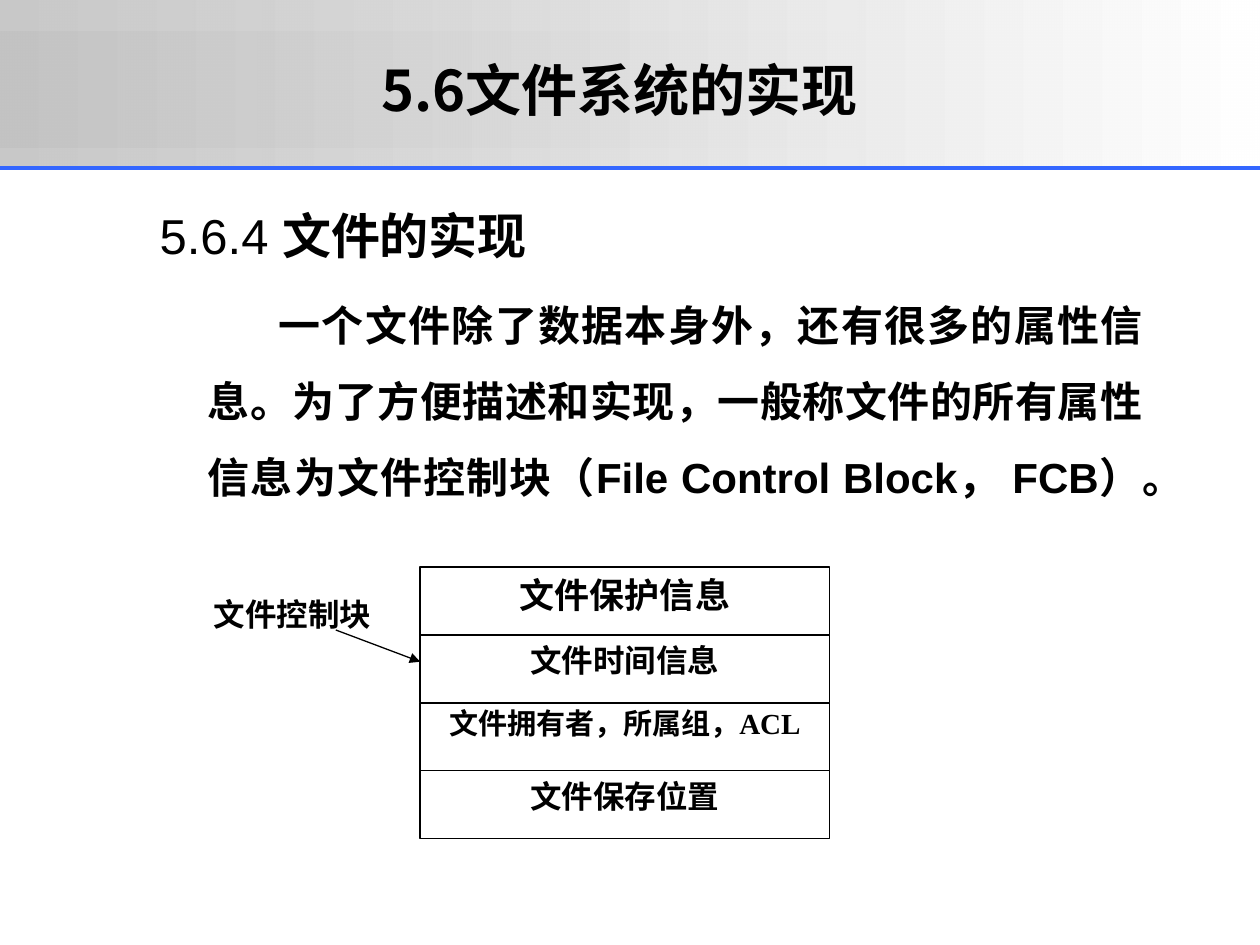
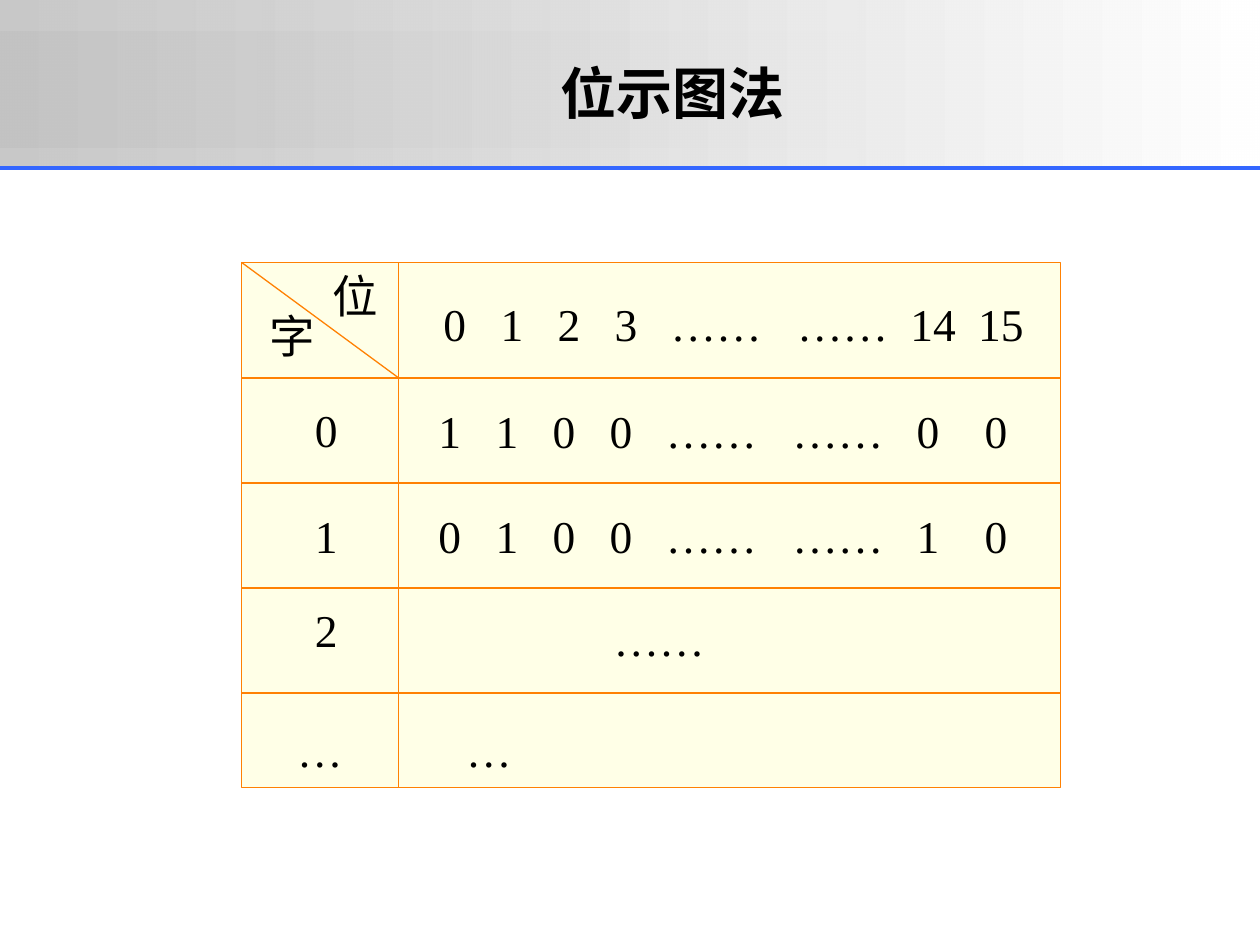
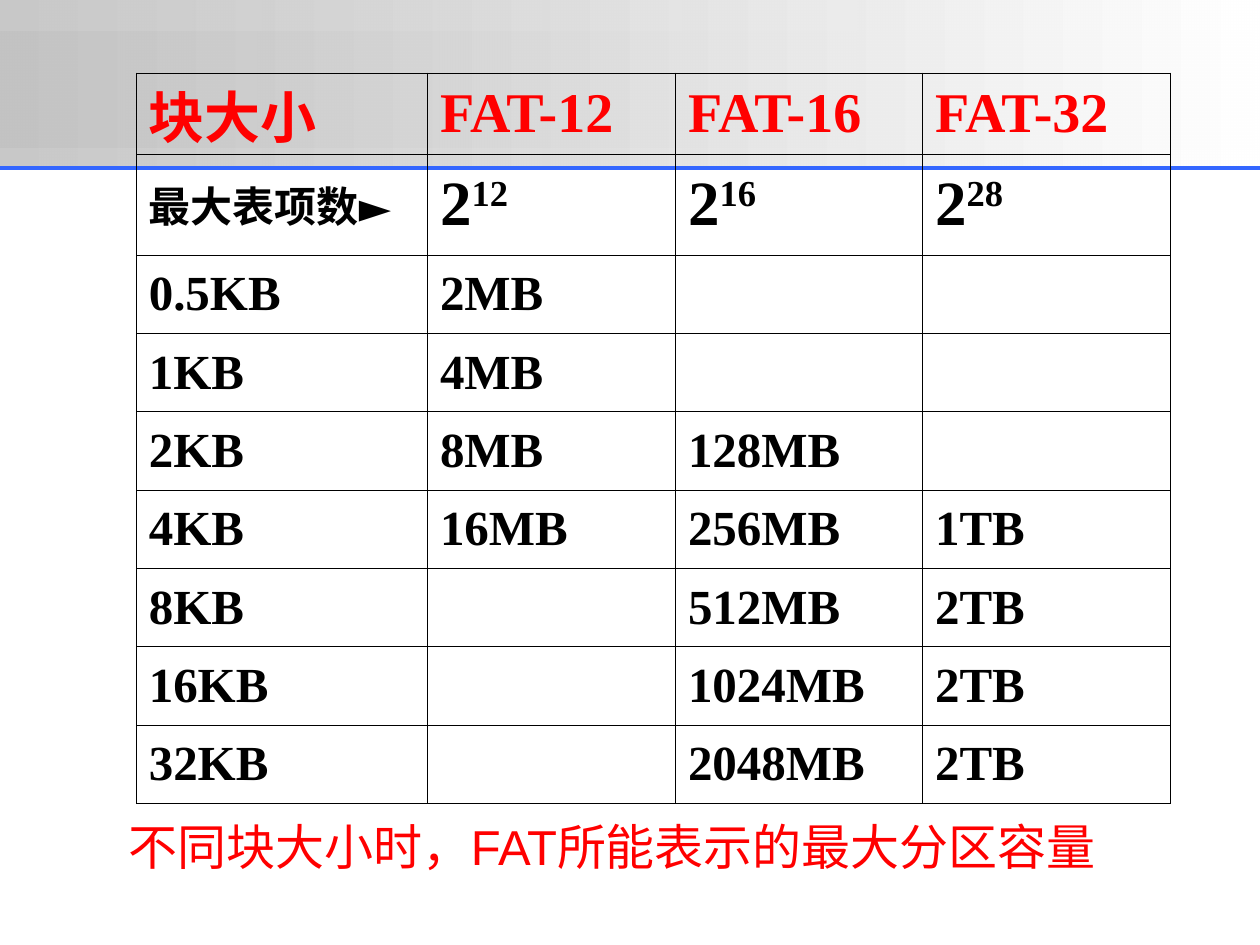
from lxml import etree
from pptx import Presentation
from pptx.dml.color import RGBColor
from pptx.enum.shapes import MSO_CONNECTOR, MSO_SHAPE
from pptx.enum.text import MSO_ANCHOR, MSO_AUTO_SIZE, PP_ALIGN
from pptx.oxml.ns import qn
from pptx.util import Cm, Pt

RECTANGLE = MSO_SHAPE.RECTANGLE
STRAIGHT = MSO_CONNECTOR.STRAIGHT
LEFT, CENTER, JUSTIFY = PP_ALIGN.LEFT, PP_ALIGN.CENTER, PP_ALIGN.JUSTIFY
TOP, MIDDLE = MSO_ANCHOR.TOP, MSO_ANCHOR.MIDDLE
NO_AUTOFIT = MSO_AUTO_SIZE.NONE

BLACK = RGBColor(0x00, 0x00, 0x00)
WHITE = RGBColor(0xFF, 0xFF, 0xFF)
GRAY = RGBColor(0xC0, 0xC0, 0xC0)
BLUE = RGBColor(0x33, 0x66, 0xFF)
RED = RGBColor(0xFF, 0x00, 0x00)
CREAM = RGBColor(0xFF, 0xFF, 0xE7)
ORANGE = RGBColor(0xFF, 0x81, 0x03)

SANS, SERIF, CJK = "Arial", "Times New Roman", "Noto Sans CJK SC"
SLIDE_WIDTH, SLIDE_HEIGHT = 25.4, 19.05
BAND_HEIGHT = 3.39
TITLE_ONLY, BLANK = 5, 6

FCB_ROWS = [
    ("文件保护信息", 20, 1.0),
    ("文件时间信息", 18, 1.0),
    ("文件拥有者，所属组，ACL", 16.6, 0.9),
    ("文件保存位置", 18, 1.0),
]

BIT_TABS = [1.38, 2.53, 3.68, 5.5, 8.05, 9.87, 11.24]
BIT_ROWS = [
    (8.79, 5.89, ["0", "1", "2", "3", "……", "……", "14", "15"]),
    (8.69, 8.05, ["1", "1", "0", "0", "……", "……", "0", "0"]),
    (8.69, 10.16, ["0", "1", "0", "0", "……", "……", "1", "0"]),
]
BIT_LABELS = [
    (6.55, 5.33, 1.22, "位"),
    (5.28, 6.13, 1.22, "字"),
    (6.2, 8.02, 0.76, "0"),
    (6.2, 10.16, 0.76, "1"),
    (6.2, 12.06, 0.76, "2"),
    (5.84, 14.48, 1.22, "…"),
    (9.25, 14.48, 1.22, "…"),
    (12.22, 12.24, 2.6, "……"),
]

FAT_COLUMNS = [5.87, 5, 4.98, 5]
FAT_HEIGHTS = [1.6, 2.03] + [1.58] * 7
FAT_ROWS = [
    ["块大小", "FAT-12", "FAT-16", "FAT-32"],
    ["最大表项数►", "2^12", "2^16", "2^28"],
    ["0.5KB", "2MB", "", ""],
    ["1KB", "4MB", "", ""],
    ["2KB", "8MB", "128MB", ""],
    ["4KB", "16MB", "256MB", "1TB"],
    ["8KB", "", "512MB", "2TB"],
    ["16KB", "", "1024MB", "2TB"],
    ["32KB", "", "2048MB", "2TB"],
]


def style_span(span, size, font, color=BLACK, bold=False):
    span.font.size = Pt(size)
    span.font.name = font
    span.font.color.rgb = color
    span.font.bold = bold


def style_para(para, size, font, color=BLACK, bold=False, align=LEFT):
    para.alignment = align
    for span in para.runs:
        style_span(span, size, font, color, bold)


def set_margins(holder, side, edge):
    holder.margin_left = holder.margin_right = Cm(side)
    holder.margin_top = holder.margin_bottom = Cm(edge)


def add_rectangle(page, left, top, width, height, fill=None, line=None):
    box = page.shapes.add_shape(RECTANGLE, Cm(left), Cm(top), Cm(width), Cm(height))
    box.shadow.inherit = False
    if fill is not None:
        box.fill.solid()
        box.fill.fore_color.rgb = fill
    if line is None:
        box.line.fill.background()
    else:
        box.line.color.rgb = line
        box.line.width = Pt(0.75)
    return box


def add_gradient_band(page, top, height, opacity):
    band = add_rectangle(page, 0, top, SLIDE_WIDTH, height)
    band.fill.gradient()
    band.fill.gradient_angle = 0
    for stop, color in zip(band.fill.gradient_stops, (GRAY, WHITE)):
        stop.color.rgb = color
    start_color = band.element.xpath(".//a:gs//a:srgbClr")[0]
    etree.SubElement(start_color, qn("a:alpha")).set("val", str(opacity * 1000))
    return band


def add_line(page, start, end, color, width=0.75, arrow=False):
    points = [Cm(value) for value in (*start, *end)]
    line = page.shapes.add_connector(STRAIGHT, *points)
    line.line.color.rgb = color
    line.line.width = Pt(width)
    if arrow:
        outline = line.line._get_or_add_ln()
        etree.SubElement(outline, qn("a:tailEnd")).set("type", "triangle")
    etree.SubElement(line.element.spPr, qn("a:effectLst"))
    return line


def add_text(page, left, top, width, height, text, size, font, color=BLACK,
             bold=False, align=LEFT, anchor=TOP, wrap=False, margins=(0.25, 0.13)):
    box = page.shapes.add_textbox(Cm(left), Cm(top), Cm(width), Cm(height))
    frame = box.text_frame
    set_margins(frame, *margins)
    frame.word_wrap = wrap
    frame.vertical_anchor = anchor
    frame.text = text
    style_para(frame.paragraphs[0], size, font, color, bold, align)
    return box


def set_title(page, left, top, width, height, text, font):
    title = page.shapes.title
    title.left, title.top = Cm(left), Cm(top)
    title.width, title.height = Cm(width), Cm(height)
    frame = title.text_frame
    frame.text = text
    frame.word_wrap = False
    frame.auto_size = NO_AUTOFIT
    frame.vertical_anchor = MIDDLE
    style_para(frame.paragraphs[0], 32, font, bold=True, align=CENTER)


def set_indent(para, left, first):
    properties = para._p.get_or_add_pPr()
    properties.set("marL", str(Cm(left)))
    properties.set("indent", str(Cm(first)))


def set_center_tabs(para, positions):
    tabs = etree.SubElement(para._p.get_or_add_pPr(), qn("a:tabLst"))
    for position in positions:
        tab = etree.SubElement(tabs, qn("a:tab"))
        tab.set("pos", str(Cm(position)))
        tab.set("algn", "ctr")


def set_borders(cell):
    properties = cell._tc.get_or_add_tcPr()
    for index, side in enumerate(("lnL", "lnR", "lnT", "lnB")):
        border = etree.Element(qn(f"a:{side}"), w=str(Pt(0.45)))
        fill = etree.SubElement(border, qn("a:solidFill"))
        etree.SubElement(fill, qn("a:srgbClr")).set("val", str(BLACK))
        properties.insert(index, border)


def fill_cell(cell, text, size, color):
    cell.fill.background()
    cell.vertical_anchor = MIDDLE
    set_borders(cell)
    para = cell.text_frame.paragraphs[0]
    for index, part in enumerate(text.split("^")):
        span = para.add_run()
        span.text = part
        style_span(span, size, SERIF, color, True)
        if index:
            span.font._element.set("baseline", "30000")


def add_header_to_master(deck, page):
    parts = [
        add_gradient_band(page, 0, BAND_HEIGHT, 86),
        add_gradient_band(page, 0.64, 2.33, 59),
        add_line(page, (0, BAND_HEIGHT), (SLIDE_WIDTH, BAND_HEIGHT), BLUE, 2.25),
    ]
    tree = deck.slide_master.shapes.element
    for index, part in enumerate(parts):
        part.element.xpath(".//p:cNvPr")[0].set("id", str(101 + index))
        tree.insert(2 + index, part.element)


def build_file_page(page):
    set_title(page, 2.12, 0.2, 20.75, 3.18, "5.6文件系统的实现", CJK)

    body = add_text(page, 2.97, 4.01, 20.32, 12.57, "5.6.4 ", 28, SANS,
                    align=JUSTIFY, wrap=True)
    heading = body.text_frame.paragraphs[0]
    set_indent(heading, 0.97, -0.97)
    span = heading.add_run()
    span.text = "文件的实现"
    style_span(span, 28, SANS, bold=True)

    para = body.text_frame.add_paragraph()
    para.text = ("一个文件除了数据本身外，还有很多的属性信息。为了方便描述和实现，"
                 "一般称文件的所有属性信息为文件控制块（File Control Block， FCB）。")
    set_indent(para, 0.97, 1.43)
    para.line_spacing = 1.5
    para.space_before = Pt(6)
    style_para(para, 24, SANS, bold=True, align=JUSTIFY)

    row_height = 1.37
    for index, (text, size, spacing) in enumerate(FCB_ROWS):
        box = add_rectangle(page, 8.47, 11.43 + index * row_height, 8.26,
                            row_height, WHITE, BLACK)
        frame = box.text_frame
        set_margins(frame, 0.25, 0.13)
        frame.vertical_anchor = TOP
        frame.text = text
        frame.paragraphs[0].line_spacing = spacing
        style_para(frame.paragraphs[0], size, SERIF, bold=True, align=CENTER)

    add_text(page, 4.06, 11.86, 3.68, 1.02, "文件控制块", 18, SANS,
             bold=True, align=CENTER, anchor=MIDDLE)
    add_line(page, (6.77, 12.7), (8.47, 13.34), BLACK, arrow=True)


def build_bitmap_page(page):
    set_title(page, 11.05, 1.05, 5.03, 1.63, "位示图法", SANS)

    left, top, right, bottom = 4.87, 5.29, 21.38, 15.87
    split, first_row, last_row = 8.04, 7.62, 13.97
    row_height = (last_row - first_row) / 3
    add_rectangle(page, left, top, right - left, bottom - top, CREAM, ORANGE)
    for index in range(4):
        y = first_row + index * row_height
        add_line(page, (left, y), (right, y), ORANGE)
    add_line(page, (split, top), (split, bottom), ORANGE)
    add_line(page, (split, first_row), (left, top), ORANGE)

    margins = (0.15, 0.08)
    for x, y, width, text in BIT_LABELS:
        add_text(page, x, y, width, 1.24, text, 26, SERIF, margins=margins)
    for x, y, bits in BIT_ROWS:
        box = add_text(page, x, y, 12.4, 1.24, "\t".join(bits), 26, SERIF,
                       wrap=True, margins=margins)
        set_center_tabs(box.text_frame.paragraphs[0], BIT_TABS)


def build_fat_page(page):
    frame = page.shapes.add_table(len(FAT_ROWS), len(FAT_COLUMNS), Cm(2.75), Cm(1.47),
                                  Cm(sum(FAT_COLUMNS)), Cm(sum(FAT_HEIGHTS)))
    table = frame.table
    table.first_row = table.horz_banding = False
    for column, width in zip(table.columns, FAT_COLUMNS):
        column.width = Cm(width)
    for row, height in zip(table.rows, FAT_HEIGHTS):
        row.height = Cm(height)
    for row_index, texts in enumerate(FAT_ROWS):
        for column_index, text in enumerate(texts):
            cell = table.cell(row_index, column_index)
            set_margins(cell, 0.25, 0.13 if row_index else 0)
            size = 28
            if row_index == 0:
                size = 32
            elif row_index == 1:
                size = 36 if column_index else 24
            fill_cell(cell, text, size, BLACK if row_index else RED)

    add_text(page, 2.34, 16.33, 20.6, 1.45, "不同块大小时，FAT所能表示的最大分区容量",
             28, SANS, RED)


def main():
    deck = Presentation()
    deck.slide_width, deck.slide_height = Cm(SLIDE_WIDTH), Cm(SLIDE_HEIGHT)
    builders = [
        (TITLE_ONLY, build_file_page),
        (TITLE_ONLY, build_bitmap_page),
        (BLANK, build_fat_page),
    ]
    pages = [deck.slides.add_slide(deck.slide_layouts[layout]) for layout, _ in builders]
    add_header_to_master(deck, pages[0])
    for page, (_, build) in zip(pages, builders):
        build(page)
    deck.save("out.pptx")


if __name__ == "__main__":
    main()
